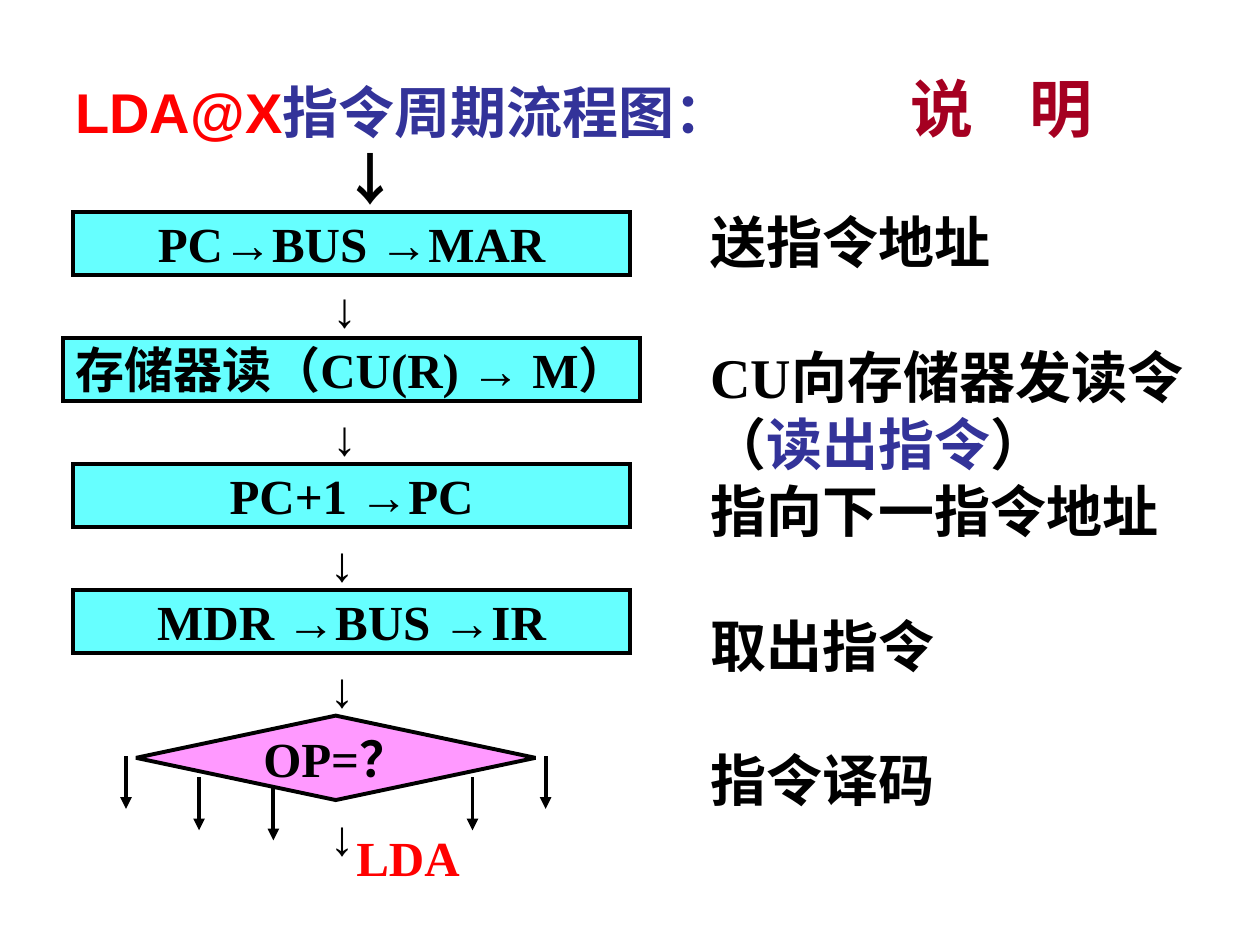
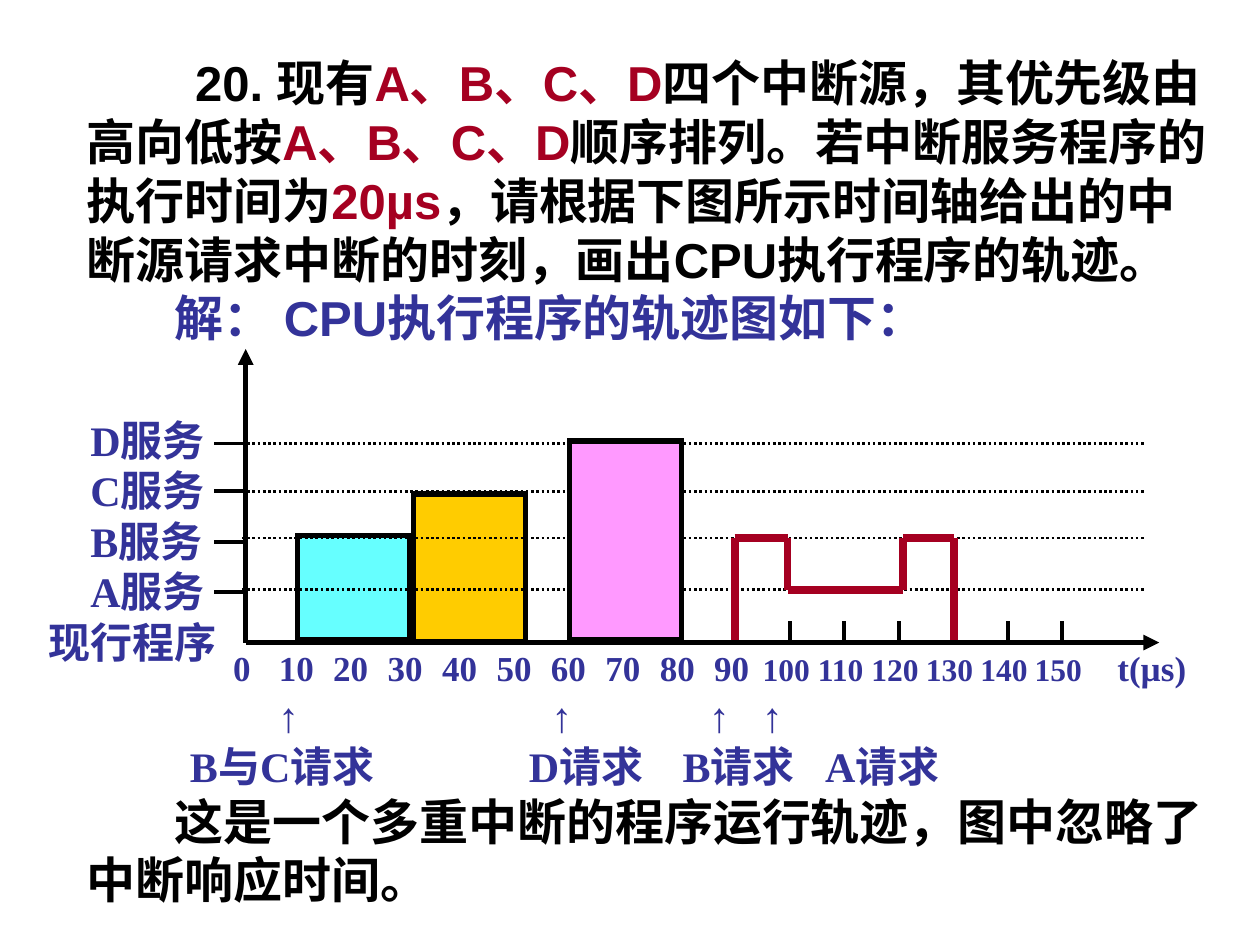
from dataclasses import dataclass
from itertools import pairwise

from lxml import etree
from pptx import Presentation, util as u
from pptx.dml.color import RGBColor
from pptx.enum import dml, shapes, text
from pptx.oxml.ns import qn

SHAPE = shapes.MSO_SHAPE
ALIGN = text.PP_ALIGN
ANCHOR = text.MSO_ANCHOR


@dataclass(frozen=True)
class Theme:
    black: str = "000000"
    blue: str = "333399"
    red: str = "FF0000"
    wine: str = "A50021"
    cyan: str = "66FFFF"
    pink: str = "FF99FF"
    gold: str = "FFCC00"
    sans: str = "Arial"
    serif: str = "Times New Roman"
    head: int = 36
    large: int = 32
    body: int = 28
    label: int = 24
    tick: int = 20
    small: int = 18
    lead: float = 1.2
    thin: float = 1.5
    line: float = 2.25
    axis: float = 3
    trace: float = 4.5


T = Theme()


@dataclass
class Para:
    """Runs are (text, colour[, size[, font]]); lengths are inches, gap is points."""
    runs: list
    size: int = T.body
    font: str = T.serif
    margin: float = 0
    indent: float = 0
    gap: float = 0
    align: ALIGN = ALIGN.LEFT


# ---- Flow chart of the instruction cycle ----
BREAK = ("\n", T.black)
FLOW_HEAD = Para(
    [("LDA@X", T.red), ("指令周期流程图：", T.blue), BREAK, ("↓", T.black)],
    T.large, T.sans, margin=2.12, indent=-2.12)
NOTE_HEAD = Para([("说", T.wine), ("　", T.wine, T.large), ("明", T.wine)],
                 T.head, T.sans)
SKIP = T.large * T.lead
NOTES = [
    (0, [("送指令地址", T.black)]),
    (SKIP, [("CU向存储器发读令", T.black)]),
    (0, [("（", T.black), ("读出指令", T.blue), ("）", T.black)]),
    (0, [("指向下一指令地址", T.black)]),
    (SKIP, [("取出指令", T.black)]),
    (SKIP, [("指令译码", T.black)]),
]
STEPS = [  # words, left, width
    ("PC→BUS →MAR", 0.58, 4.42),
    ("存储器读（CU(R) → M）", 0.5, 4.58),
    ("PC+1 →PC", 0.58, 4.42),
    ("MDR →BUS →IR", 0.58, 4.42),
]
DOWN = [(2.54, 2.16), (2.54, 3.18), (2.52, 4.18), (2.52, 5.18), (2.52, 6.35)]
EXITS = [(1, 6), (1.58, 6.17), (2.17, 6.25), (3.75, 6.17), (4.33, 6)]

# ---- Interrupt timeline ----
TASK = [
    Para([("20. 现有", T.black), ("A、B、C、D", T.wine),
          ("四个中断源，其优先级由高向低按", T.black), ("A、B、C、D", T.wine),
          ("顺序排列。若中断服务程序的执行时间为", T.black), ("20µs", T.wine),
          ("，请根据下图所示时间轴给出的中断源请求中断的时刻，画出CPU执行程序的轨迹。",
           T.black)],
         font=T.sans, indent=0.86),
    Para([("解： CPU执行程序的轨迹图如下：", T.blue)], font=T.sans, indent=0.7),
]
LEVELS = ["D服务", "C服务", "B服务", "A服务", "现行程序"]
ZERO, LAST, BASE, COUNT = 1.95, 8.43, 5.1, 15
STEP = (LAST - ZERO) / COUNT
MARKS = [3.52, 3.9, 4.3, 4.7]
GUIDES = [3.52, 3.9, 4.27, 4.68]
BARS = [  # left, top, height, fill
    (2.36, 4.25, 0.83, T.cyan),
    (3.28, 3.92, 1.17, T.gold),
    (4.52, 3.5, 1.58, T.pink),
]
BAR_WIDTH = 0.89
TRACE = [(5.83, 5.08), (5.83, 4.27), (6.25, 4.27), (6.25, 4.68),
         (7.17, 4.68), (7.17, 4.27), (7.57, 4.27), (7.57, 5.08)]
ASKS = [("B与C请求", 1.41), ("D请求", 4.1), ("B请求", 5.32), ("A请求", 6.45)]
TIMES = [2.29, 4.46, 5.71, 6.13]
CLOSE = Para([("这是一个多重中断的程序运行轨迹，图中忽略了中断响应时间。", T.black)],
             indent=0.7)
TICK_ROW, TIME_ROW, ASK_ROW, CLOSE_ROW = 5.08, 5.43, 5.83, 6.23


def color(code):
    return RGBColor.from_string(code)


def write(para, spec):
    para.alignment = spec.align
    para.line_spacing = u.Pt(spec.size * T.lead)
    para.space_before = u.Pt(spec.gap)
    props = para._p.get_or_add_pPr()
    props.set("marL", str(u.Inches(spec.margin)))
    props.set("indent", str(u.Inches(spec.indent)))
    for words, tint, *more in spec.runs:
        if words == "\n":
            para.add_line_break()
            continue
        run = para.add_run()
        run.text = words
        run.font.size = u.Pt(more[0] if more else spec.size)
        run.font.name = more[1] if len(more) > 1 else spec.font
        run.font.bold = True
        run.font.color.rgb = color(tint)


def fill_text(shape, specs, wrap, anchor):
    frame = shape.text_frame
    frame.word_wrap = wrap
    frame.vertical_anchor = anchor
    for i, spec in enumerate(specs):
        write(frame.add_paragraph() if i else frame.paragraphs[0], spec)


def add_text(slide, box, specs, wrap=True, anchor=ANCHOR.TOP):
    shape = slide.shapes.add_textbox(*map(u.Inches, box))
    fill_text(shape, specs, wrap, anchor)


def add_block(slide, kind, box, fill, width=T.line, words=""):
    """Draw an outlined block; arrows inside its words take the sans font."""
    shape = slide.shapes.add_shape(kind, *map(u.Inches, box))
    shape.shadow.inherit = False
    shape.fill.solid()
    shape.fill.fore_color.rgb = color(fill)
    shape.line.color.rgb = color(T.black)
    shape.line.width = u.Pt(width)
    etree.SubElement(shape.line._get_or_add_ln(), qn("a:miter"), lim="800000")
    if words:
        parts = words.replace("→", "|→|").split("|")
        runs = [(part, T.black, T.body, T.sans if part == "→" else T.serif)
                for part in parts]
        fill_text(shape, [Para(runs, align=ALIGN.CENTER)], False, ANCHOR.MIDDLE)


def add_line(slide, start, end, width=T.line, tint=T.black, arrow=False, dots=False):
    line = slide.shapes.add_connector(
        shapes.MSO_CONNECTOR.STRAIGHT, *map(u.Inches, (*start, *end)))
    line.line.color.rgb = color(tint)
    line.line.width = u.Pt(width)
    if dots:
        line.line.dash_style = dml.MSO_LINE.ROUND_DOT
    if arrow:
        etree.SubElement(line.line._get_or_add_ln(), qn("a:tailEnd"), type="triangle")
    etree.SubElement(line._element.spPr, qn("a:effectLst"))


def draw_flow(slide):
    add_text(slide, (0.5, 0.52, 6, 1.25), [FLOW_HEAD], anchor=ANCHOR.MIDDLE)
    add_text(slide, (7.13, 0.5, 2, 0.7), [NOTE_HEAD])
    notes = [Para(runs, T.large, gap=gap) for gap, runs in NOTES]
    add_text(slide, (5.54, 1.6, 4.2, 4.9), notes)
    add_block(slide, SHAPE.FLOWCHART_DECISION, (1.08, 5.68, 3.17, 0.67), T.pink,
              words="OP=？")
    for i, (words, left, width) in enumerate(STEPS):
        add_block(slide, SHAPE.FLOWCHART_PROCESS, (left, 1.68 + i, width, 0.5), T.cyan,
                  words=words)
    for left, top in DOWN:
        add_text(slide, (left, top, 0.35, 0.57),
                 [Para([("↓", T.black)], font=T.sans)], wrap=False)
    add_text(slide, (2.73, 6.52, 1.02, 0.57), [Para([("LDA", T.red)])], wrap=False)
    for x, y in EXITS:
        add_line(slide, (x, y), (x, y + 0.42), arrow=True)


def draw_scale(slide):
    """Write the tick numbers, request arrows and request names under the axis."""
    def add_mark(words, center, top, size, font=T.serif):
        add_text(slide, (center - 0.4, top, 0.8, 0.45),
                 [Para([(words, T.blue)], size, font, align=ALIGN.CENTER)])

    for i in range(COUNT + 1):
        size = T.tick if i < 10 else T.small
        drop = (T.tick - size) * T.lead / 72
        add_mark(str(10 * i), ZERO - 0.03 + i * STEP, TICK_ROW + drop, size)
    for center in TIMES:
        add_mark("↑", center, TIME_ROW, T.label, T.sans)
    names = [(words, left, ASK_ROW, T.label) for words, left in ASKS]
    for words, left, top, size in [("t(µs)", 8.77, TICK_ROW, T.tick), *names]:
        add_text(slide, (left, top, 2 if size == T.label else 1, 0.5),
                 [Para([(words, T.blue)], size)])
    add_text(slide, (0.59, CLOSE_ROW, 9.17, 1.03), [CLOSE])


def draw_time(slide):
    add_text(slide, (0.59, 0.25, 9.17, 2.67), TASK, anchor=ANCHOR.MIDDLE)
    for end in ((ZERO, 2.77), (9.2, BASE)):
        add_line(slide, (ZERO, BASE), end, T.axis, arrow=True)
    names = [Para([(name, T.blue)], T.label, indent=0 if name == LEVELS[-1] else 0.33)
             for name in LEVELS]
    add_text(slide, (0.29, 3.24, 1.8, 2.1), names)
    for y in MARKS:
        add_line(slide, (1.7, y), (ZERO, y))
    for i in range(1, COUNT + 1):
        x = ZERO + i * STEP
        add_line(slide, (x, 4.93), (x, BASE))
    draw_scale(slide)

    def add_bar(left, top, height, fill):
        add_block(slide, SHAPE.RECTANGLE, (left, top, BAR_WIDTH, height), fill, T.axis)

    *under, over = BARS
    for bar in under:
        add_bar(*bar)
    for y in GUIDES:
        add_line(slide, (1.92, y), (9.08, y), T.thin, dots=True)
    add_bar(*over)
    for start, end in pairwise(TRACE):
        add_line(slide, start, end, T.trace, T.wine)


def main():
    deck = Presentation()
    deck.slide_width, deck.slide_height = u.Inches(10), u.Inches(7.5)
    for draw in (draw_flow, draw_time):
        draw(deck.slides.add_slide(deck.slide_layouts[6]))
    deck.save("out.pptx")


if __name__ == "__main__":
    main()
